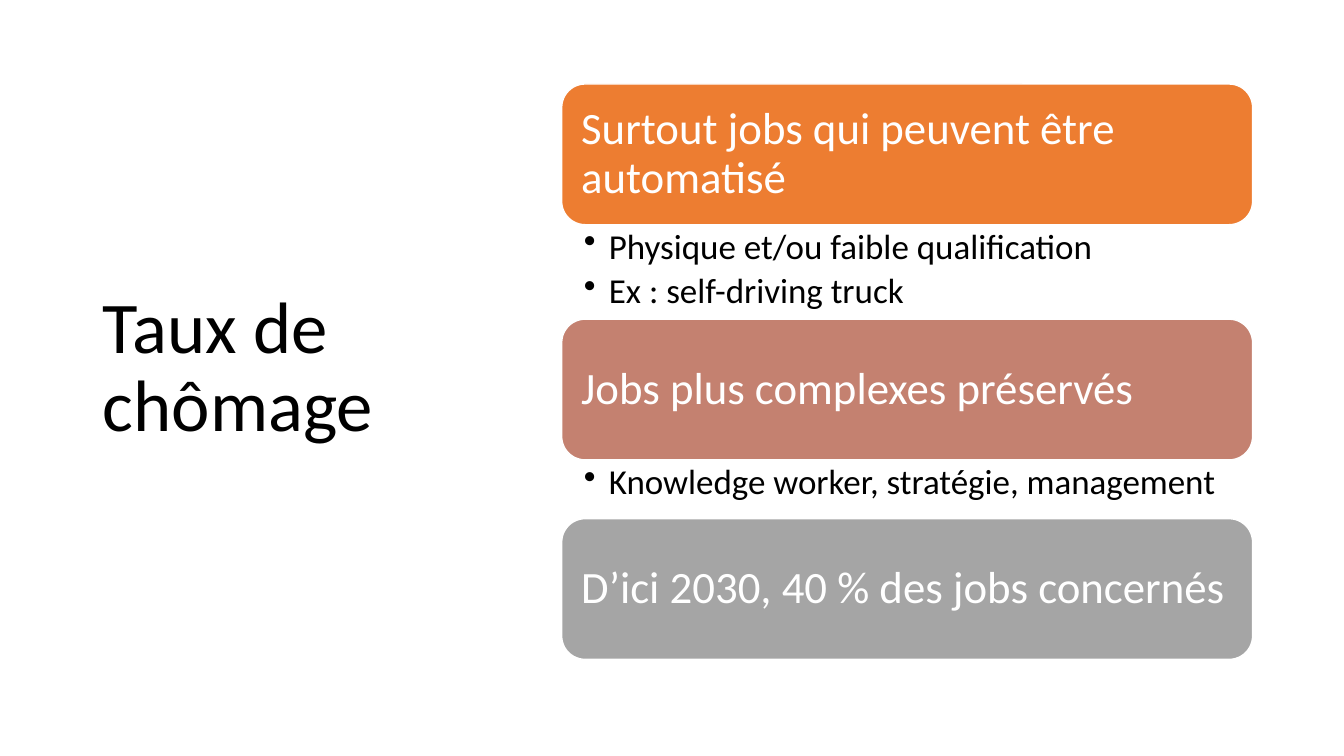
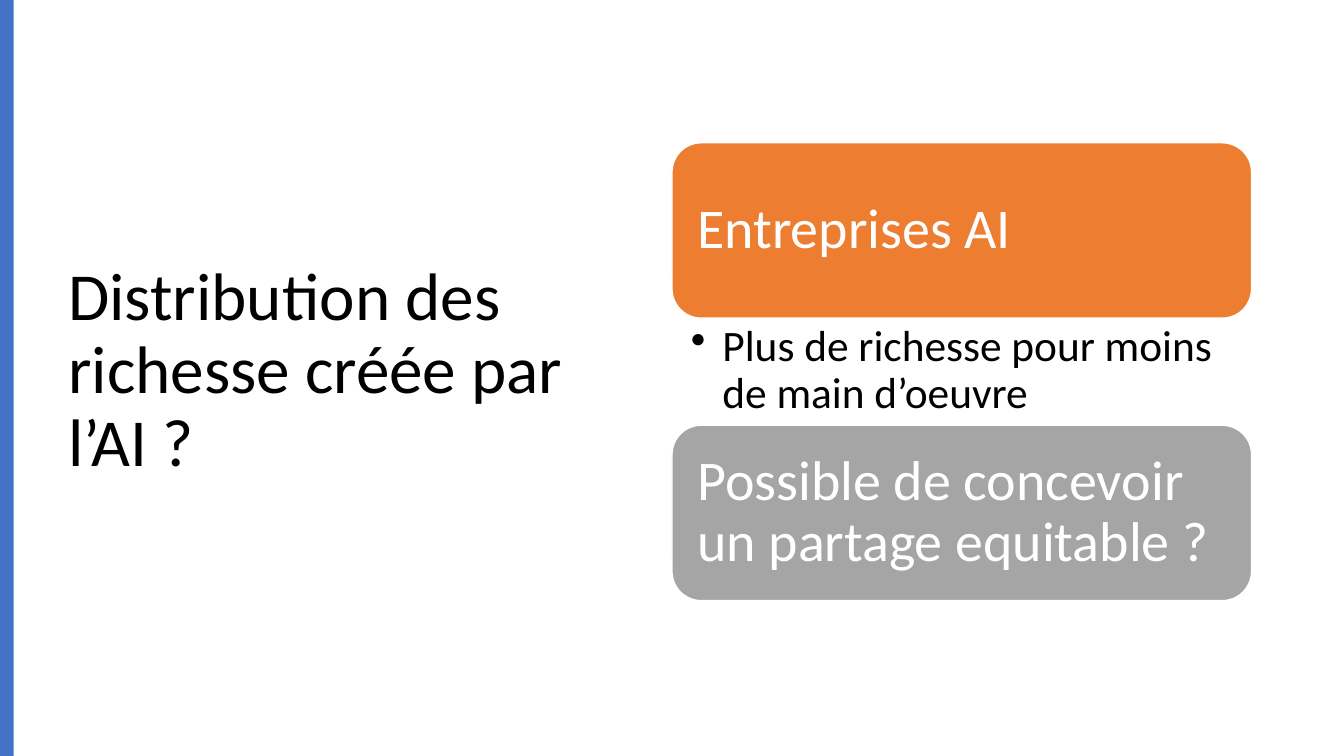
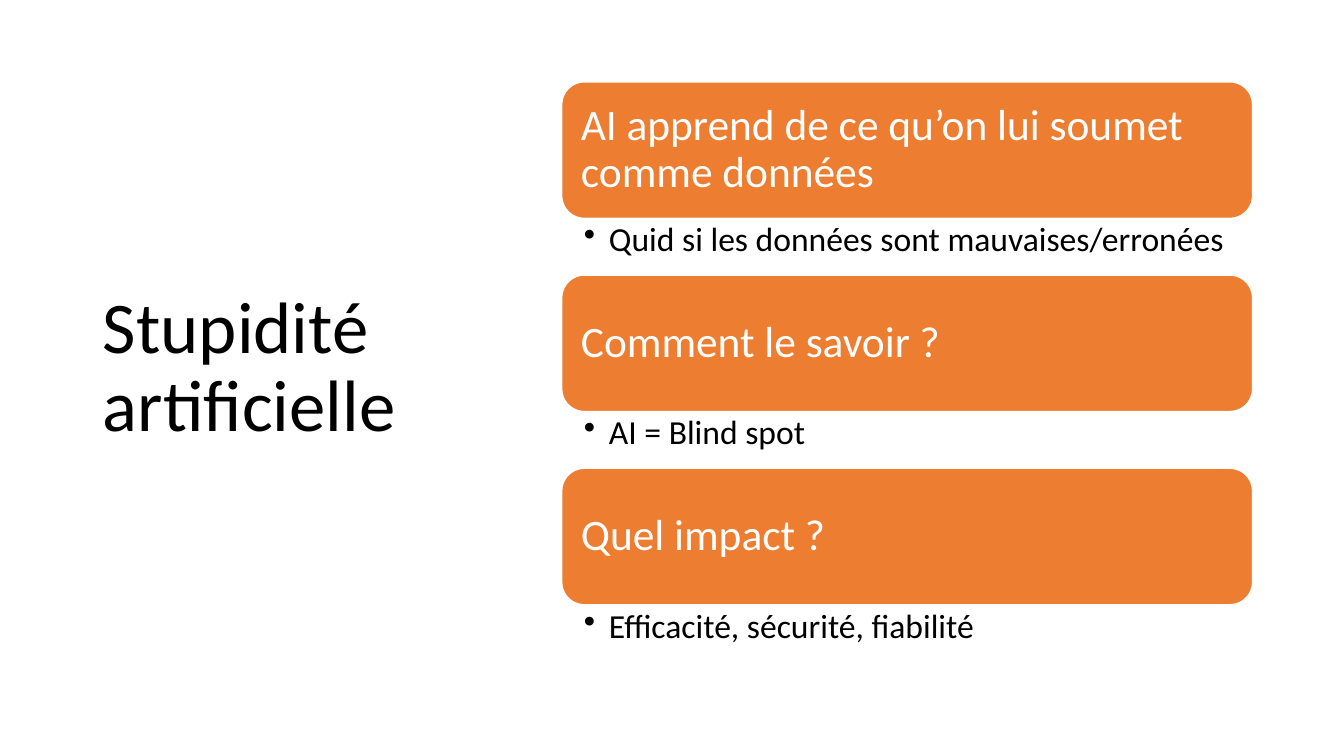
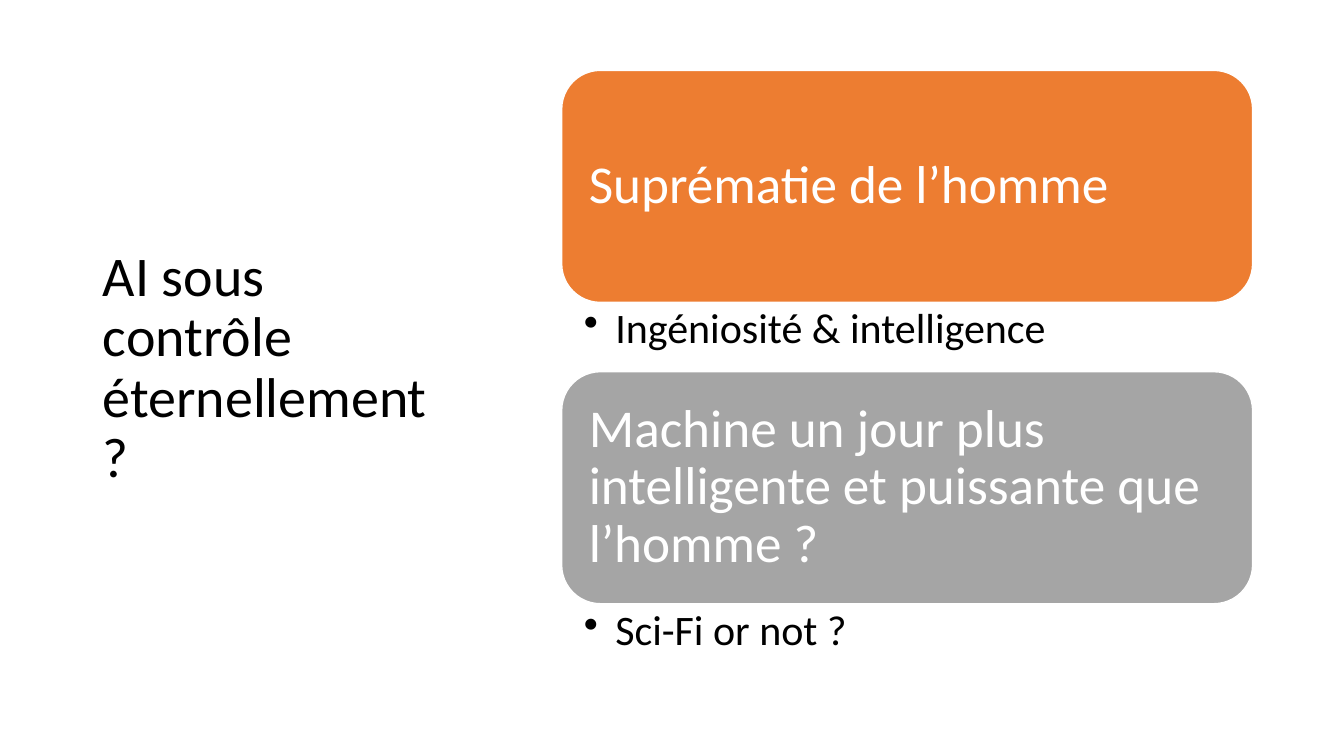
from dataclasses import dataclass

from lxml import etree
from pptx import Presentation
from pptx.dml.color import RGBColor
from pptx.enum.shapes import MSO_SHAPE
from pptx.enum.text import MSO_ANCHOR, MSO_AUTO_SIZE, PP_ALIGN
from pptx.oxml.ns import qn
from pptx.util import Emu, Pt

RECT, ROUND = MSO_SHAPE.RECTANGLE, MSO_SHAPE.ROUNDED_RECTANGLE
TOP, MIDDLE = MSO_ANCHOR.TOP, MSO_ANCHOR.MIDDLE
LEFT, NO_FIT = PP_ALIGN.LEFT, MSO_AUTO_SIZE.NONE
FONT = "Calibri"
TITLE_ONLY = 5
WIDE, HIGH = 1280, 720
COLORS = {
    "black": "000000",
    "white": "FFFFFF",
    "orange": "ED7D31",
    "rose": "C48170",
    "gray": "A5A5A5",
    "blue": "4472C4",
}
TITLE_BOX = (88, 59, 354, 585)


@dataclass
class Stack:
    """Measures of a column of cards with notes between them."""

    top: int
    high: int
    size: int
    note_size: int
    pad: int
    note_pads: tuple
    indent: int
    left: int = 535
    wide: int = 658


def px(count):
    """Turn pixels into EMU."""
    return Emu(count * 9525)


def color(name):
    """Look up a colour by name."""
    return RGBColor.from_string(COLORS[name])


def style(para, size, tint):
    """Set the look shared by every paragraph."""
    para.alignment = LEFT
    para.line_spacing = 0.9
    para.font.name = FONT
    para.font.size = Pt(size)
    para.font.color.rgb = color(tint)


def set_frame(frame, anchor, pads):
    """Wrap the text and set its anchor and left, top, right, bottom insets."""
    frame.word_wrap = True
    frame.auto_size = NO_FIT
    frame.vertical_anchor = anchor
    sides = [px(pad) for pad in pads]
    frame.margin_left, frame.margin_top, frame.margin_right, frame.margin_bottom = sides


def add_bullet(para, indent):
    """Give a paragraph a hanging bullet."""
    props = para._p.get_or_add_pPr()
    props.set("marL", str(px(indent)))
    props.set("indent", str(px(-indent)))
    etree.SubElement(props, qn("a:buChar")).set("char", "•")


def add_title(slide, text, size, box=TITLE_BOX):
    """Place and format the title."""
    title = slide.shapes.title
    title.left, title.top, title.width, title.height = map(px, box)
    title.text = text
    set_frame(title.text_frame, MIDDLE, (10, 5, 10, 5))
    style(title.text_frame.paragraphs[0], size, "black")


def add_box(slide, kind, box, fill):
    """Add a filled shape with no line or shadow."""
    shape = slide.shapes.add_shape(kind, *map(px, box))
    shape.shadow.inherit = False
    shape.fill.solid()
    shape.fill.fore_color.rgb = color(fill)
    shape.line.fill.background()
    return shape


def add_card(slide, stack, top, fill, text):
    """Add a rounded card with its heading."""
    card = add_box(slide, ROUND, (stack.left, top, stack.wide, stack.high), fill)
    card.line.color.rgb = color("white")
    card.line.width = Pt(1)
    card.text_frame.text = text
    set_frame(card.text_frame, MIDDLE, (stack.pad,) * 4)
    style(card.text_frame.paragraphs[0], stack.size, "white")


def add_notes(slide, stack, top, high, lines):
    """Add the bulleted notes under a card."""
    box = slide.shapes.add_textbox(*map(px, (stack.left, top, stack.wide, high)))
    frame = box.text_frame
    frame.text = "\n".join(lines)
    set_frame(frame, TOP, stack.note_pads)
    for para in frame.paragraphs:
        para.level = 1
        add_bullet(para, stack.indent)
        style(para, stack.note_size, "black")
        para.space_after = Pt(stack.note_size // 5)


def add_stack(slide, stack, items):
    """Stack cards downward, each followed by its notes, if any."""
    top = stack.top
    for fill, text, high, lines in items:
        add_card(slide, stack, top, fill, text)
        top += stack.high
        if lines:
            add_notes(slide, stack, top, high, lines)
        top += high


def new_slide(deck):
    """Append a title-only slide."""
    return deck.slides.add_slide(deck.slide_layouts[TITLE_ONLY])


def add_jobs(deck):
    """Build the unemployment slide."""
    slide = new_slide(deck)
    add_title(slide, "Taux de chômage", 52)
    stack = Stack(80, 134, 32, 25, 12, (21, 4, 24, 4), 24)
    add_stack(slide, stack, [
        ("orange", "Surtout jobs qui peuvent être automatisé", 90,
         ["Physique et/ou faible qualification", "Ex : self-driving truck"]),
        ("rose", "Jobs plus complexes préservés", 56,
         ["Knowledge worker, stratégie, management"]),
        ("gray", "D’ici 2030, 40 % des jobs concernés", 0, []),
    ])


def add_wealth(deck):
    """Build the wealth slide."""
    slide = new_slide(deck)
    add_title(slide, "Distribution des richesse créée par l’AI ?", 48, (55, 65, 544, 578))
    add_box(slide, RECT, (0, 0, 13, HIGH), "blue")
    stack = Stack(136, 167, 40, 31, 16, (18, 6, 30, 6), 30, 640, 552)
    add_stack(slide, stack, [
        ("orange", "Entreprises AI", 102,
         ["Plus de richesse pour moins de main d’oeuvre"]),
        ("gray", "Possible de concevoir un partage equitable ?", 0, []),
    ])


def add_errors(deck):
    """Build the artificial stupidity slide."""
    slide = new_slide(deck)
    add_title(slide, "Stupidité artificielle", 52)
    stack = Stack(78, 130, 31, 24, 12, (21, 4, 23, 4), 24)
    add_stack(slide, stack, [
        ("orange", "AI apprend de ce qu’on lui soumet comme données", 54,
         ["Quid si les données sont mauvaises/erronées"]),
        ("orange", "Comment le savoir ?", 54, ["AI = Blind spot"]),
        ("orange", "Quel impact ?", 54, ["Efficacité, sécurité, fiabilité"]),
    ])


def add_control(deck):
    """Build the control slide."""
    slide = new_slide(deck)
    add_title(slide, "AI sous contrôle éternellement ?", 40)
    stack = Stack(67, 221, 38, 30, 15, (21, 5, 29, 5), 30)
    add_stack(slide, stack, [
        ("orange", "Suprématie de l’homme", 66, ["Ingéniosité & intelligence"]),
        ("gray", "Machine un jour plus intelligente et puissante que l’homme ?", 66,
         ["Sci-Fi or not ?"]),
    ])


def main():
    """Build and save the deck."""
    deck = Presentation()
    deck.slide_width, deck.slide_height = px(WIDE), px(HIGH)
    for build in (add_jobs, add_wealth, add_errors, add_control):
        build(deck)
    deck.save("out.pptx")


if __name__ == "__main__":
    main()
